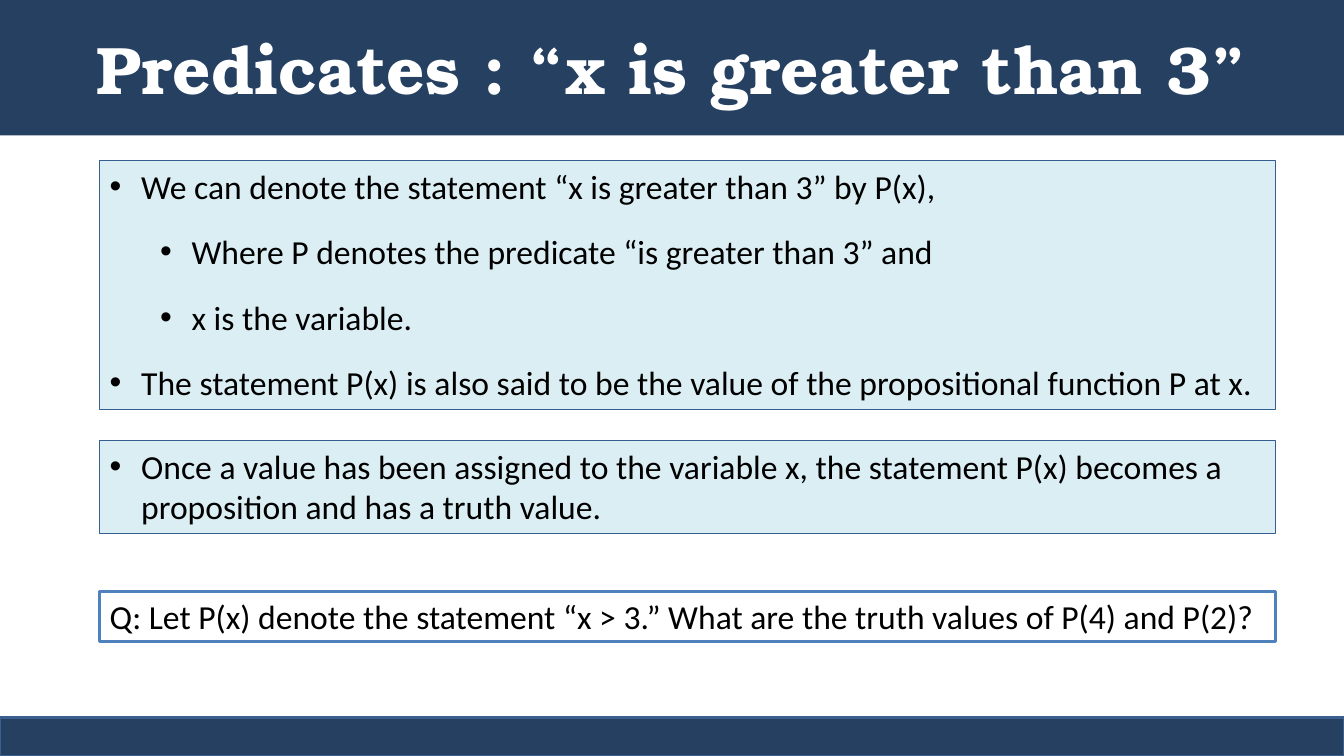
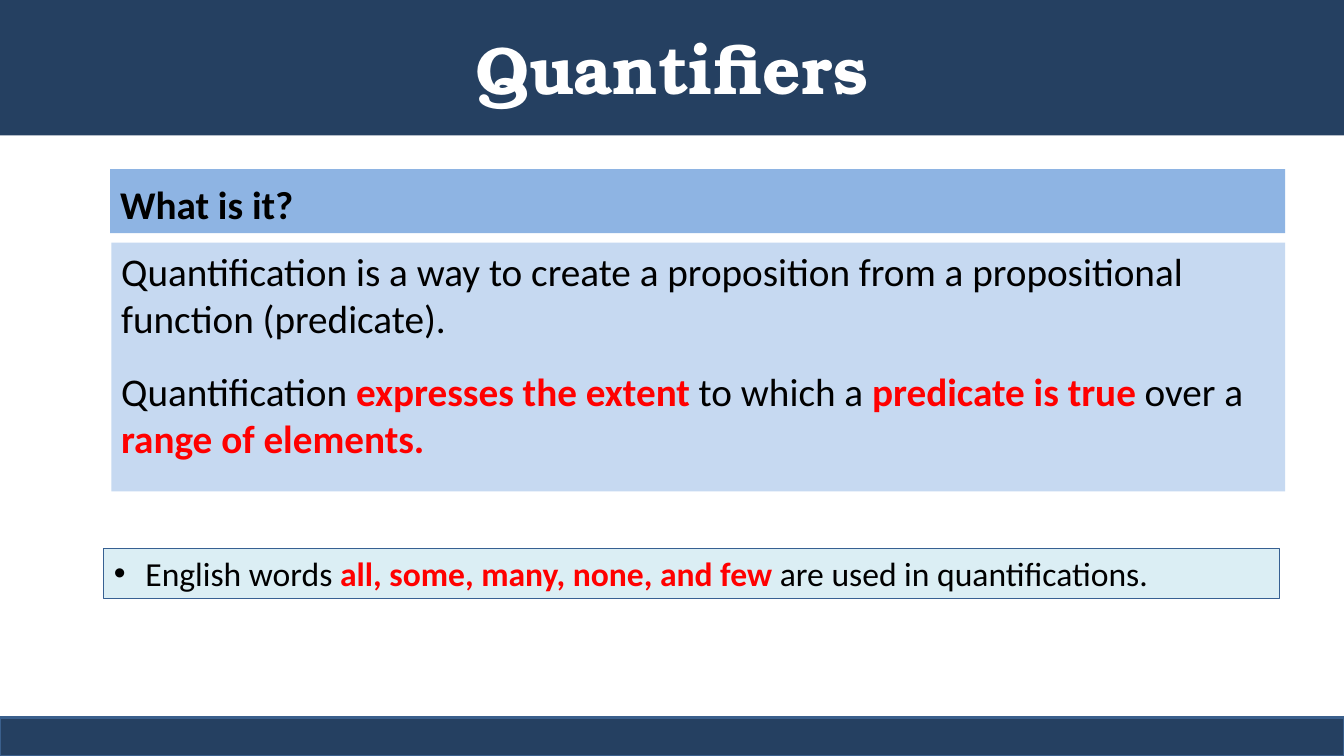
from lxml.etree import SubElement
from pptx import Presentation
from pptx.dml.color import RGBColor
from pptx.enum.shapes import MSO_SHAPE
from pptx.enum.text import MSO_ANCHOR, PP_ALIGN
from pptx.oxml.ns import qn
from pptx.util import Emu, Pt

PX = 9525
PAGE_WIDTH, PAGE_HEIGHT = 1280, 720
TITLE_BOX = (0, 0, PAGE_WIDTH, 129)
FOOTER_BOX = (0, 683, PAGE_WIDTH, 37)
BULLET_INDENT, LEVEL_STEP = 30, 48
TITLE_FONT, BODY_FONT = "TeX Gyre Bonum", "Calibri"
COLORS = {
    "navy": "254061",
    "footer_line": "3A5F8C",
    "pale_aqua": "DBEEF4",
    "aqua_line": "376092",
    "question_line": "4F81BD",
    "heading_blue": "8EB4E3",
    "pale_blue": "C6D9F1",
    "white": "FFFFFF",
    "black": "000000",
    "red": "FF0000",
}


def px(length):
    """Turn px into EMU."""
    return Emu(length * PX)


def rgb(name):
    """Return the named colour."""
    return RGBColor.from_string(COLORS[name])


def add_panel(page, box, fill, line=None, weight=0.75):
    """Add a filled rectangle, outlined when a line colour is given."""
    panel = page.shapes.add_shape(MSO_SHAPE.RECTANGLE, *map(px, box))
    panel.shadow.inherit = False
    panel.fill.solid()
    panel.fill.fore_color.rgb = rgb(fill)
    if line:
        panel.line.color.rgb = rgb(line)
        panel.line.width = Pt(weight)
    else:
        panel.line.fill.background()
    panel.text_frame.word_wrap = True
    panel.text_frame.vertical_anchor = MSO_ANCHOR.TOP
    return panel


def add_span(para, text, size, color="black", bold=False, font=BODY_FONT):
    """Add one styled run to a paragraph."""
    span = para.add_run()
    span.text = text
    span.font.name = font
    span.font.size = Pt(size)
    span.font.bold = bold
    span.font.color.rgb = rgb(color)


def add_bullet(para, level):
    """Give a paragraph a hanging round bullet at a level."""
    properties = para._p.get_or_add_pPr()
    properties.set("marL", str(px(BULLET_INDENT + level * LEVEL_STEP)))
    properties.set("indent", str(px(-BULLET_INDENT)))
    SubElement(properties, qn("a:buFont")).set("typeface", "Arial")
    SubElement(properties, qn("a:buChar")).set("char", "•")


def write_paras(panel, paras, size, bulleted=False):
    """Fill a panel with (level, spans) paragraphs; each span is (text, is_key)."""
    frame = panel.text_frame
    for index, (level, spans) in enumerate(paras):
        para = frame.add_paragraph() if index else frame.paragraphs[0]
        para.alignment = PP_ALIGN.LEFT
        para.space_before = Pt(12 if index else 0)
        para.space_after = Pt(6)
        if bulleted:
            add_bullet(para, level)
        for text, is_key in spans:
            add_span(para, text, size, "red" if is_key else "black", is_key)


def add_bullet_panel(page, box, paras):
    """Add an outlined aqua panel of bullets."""
    panel = add_panel(page, box, "pale_aqua", "aqua_line")
    write_paras(panel, paras, 24, bulleted=True)


def add_question(page, box, text):
    """Add a white question panel with a bold outline."""
    panel = add_panel(page, box, "white", "question_line", 2)
    write_paras(panel, [(0, [(text, False)])], 24)


def add_definition(page, box, heading, paras):
    """Add a heading bar with a definition panel below it."""
    left, top, width, height = box
    bar_height, gap = 61, 9
    bar = add_panel(page, (left, top, width, bar_height), "heading_blue")
    para = bar.text_frame.paragraphs[0]
    para.alignment = PP_ALIGN.LEFT
    para.line_spacing = 1.14
    add_span(para, heading, 28, bold=True)
    offset = bar_height + gap
    body = add_panel(page, (left + 1, top + offset, width - 1, height - offset), "pale_blue")
    write_paras(body, paras, 28)


def add_page(deck, title):
    """Add a blank page with the shared title band and footer band."""
    page = deck.slides.add_slide(deck.slide_layouts[6])
    band = add_panel(page, TITLE_BOX, "navy")
    band.text_frame.vertical_anchor = MSO_ANCHOR.MIDDLE
    para = band.text_frame.paragraphs[0]
    para.alignment = PP_ALIGN.CENTER
    add_span(para, title, 48, "white", True, TITLE_FONT)
    add_panel(page, FOOTER_BOX, "navy", "footer_line", 2)
    return page


def build_predicates(deck):
    """Build the predicates page."""
    page = add_page(deck, "Predicates : “x is greater than 3”")
    left, width = 95, 1120
    add_bullet_panel(page, (left, 153, width, 237), [
        (0, [("We can denote the statement “x is greater than 3” by P(x),", False)]),
        (1, [("Where P denotes the predicate “is greater than 3” and", False)]),
        (1, [("x is the variable.", False)]),
        (0, [("The statement P(x) is also said to be the value of the "
              "propositional function P at x.", False)]),
    ])
    add_bullet_panel(page, (left, 420, width, 88), [
        (0, [("Once a value has been assigned to the variable x, the statement P(x) "
              "becomes a proposition and has a truth value.", False)]),
    ])
    add_question(page, (left, 563, width, 48),
                 "Q: Let P(x) denote the statement “x > 3.” "
                 "What are the truth values of P(4) and P(2)?")


def build_quantifiers(deck):
    """Build the quantifiers page."""
    page = add_page(deck, "Quantifiers")
    add_definition(page, (105, 161, 1119, 307), "What is it?", [
        (0, [("Quantification is a way to create a proposition from a "
              "propositional function (predicate).", False)]),
        (0, [("Quantification ", False), ("expresses the extent", True),
             (" to which a ", False), ("predicate is true", True),
             (" over a ", False), ("range of elements.", True)]),
    ])
    add_bullet_panel(page, (99, 522, 1120, 48), [
        (0, [("English words ", False), ("all, some, many, none, and few ", True),
             ("are used in quantifications.", False)]),
    ])


def main():
    """Build and save the deck."""
    deck = Presentation()
    deck.slide_width, deck.slide_height = px(PAGE_WIDTH), px(PAGE_HEIGHT)
    build_predicates(deck)
    build_quantifiers(deck)
    deck.save("out.pptx")


if __name__ == "__main__":
    main()
